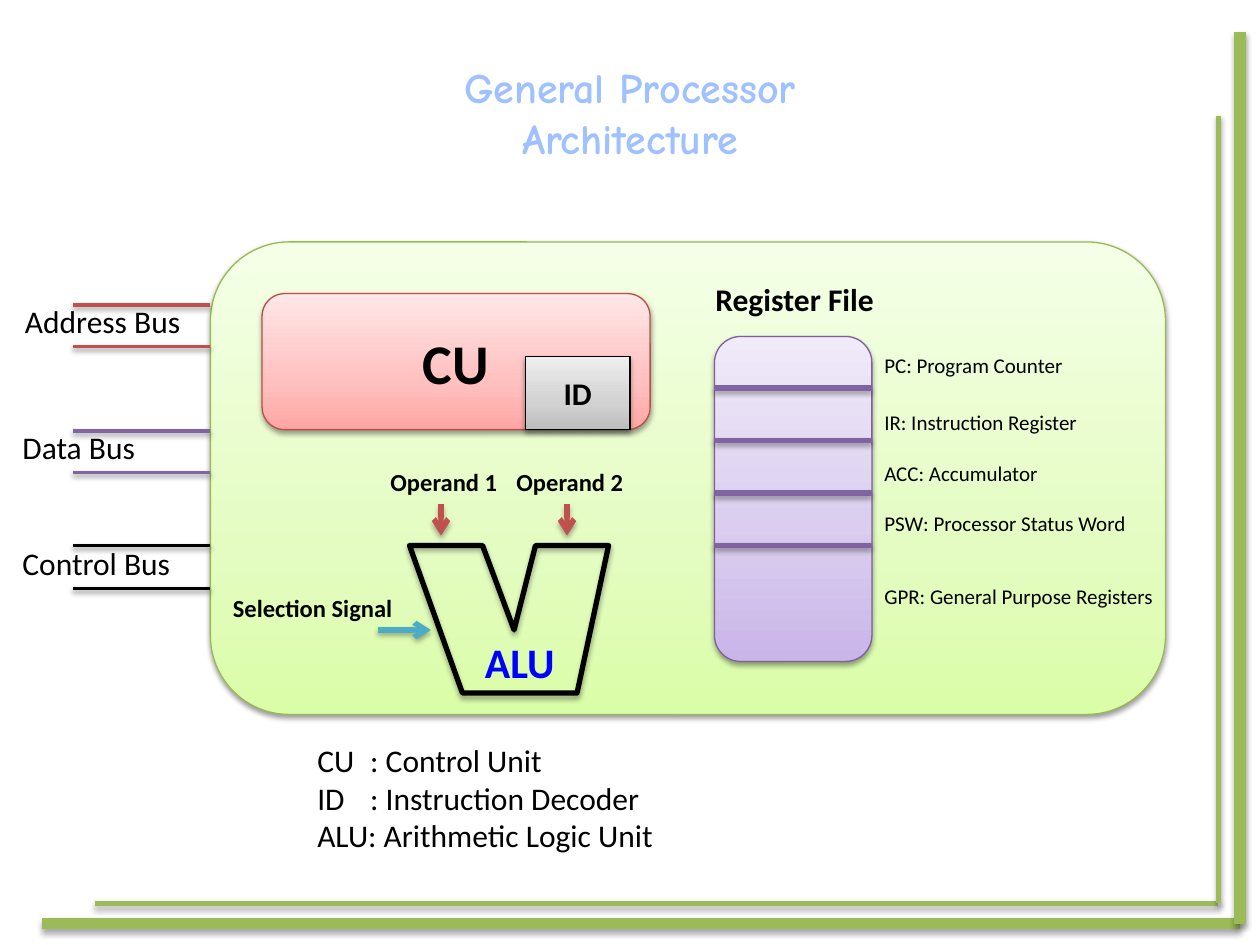
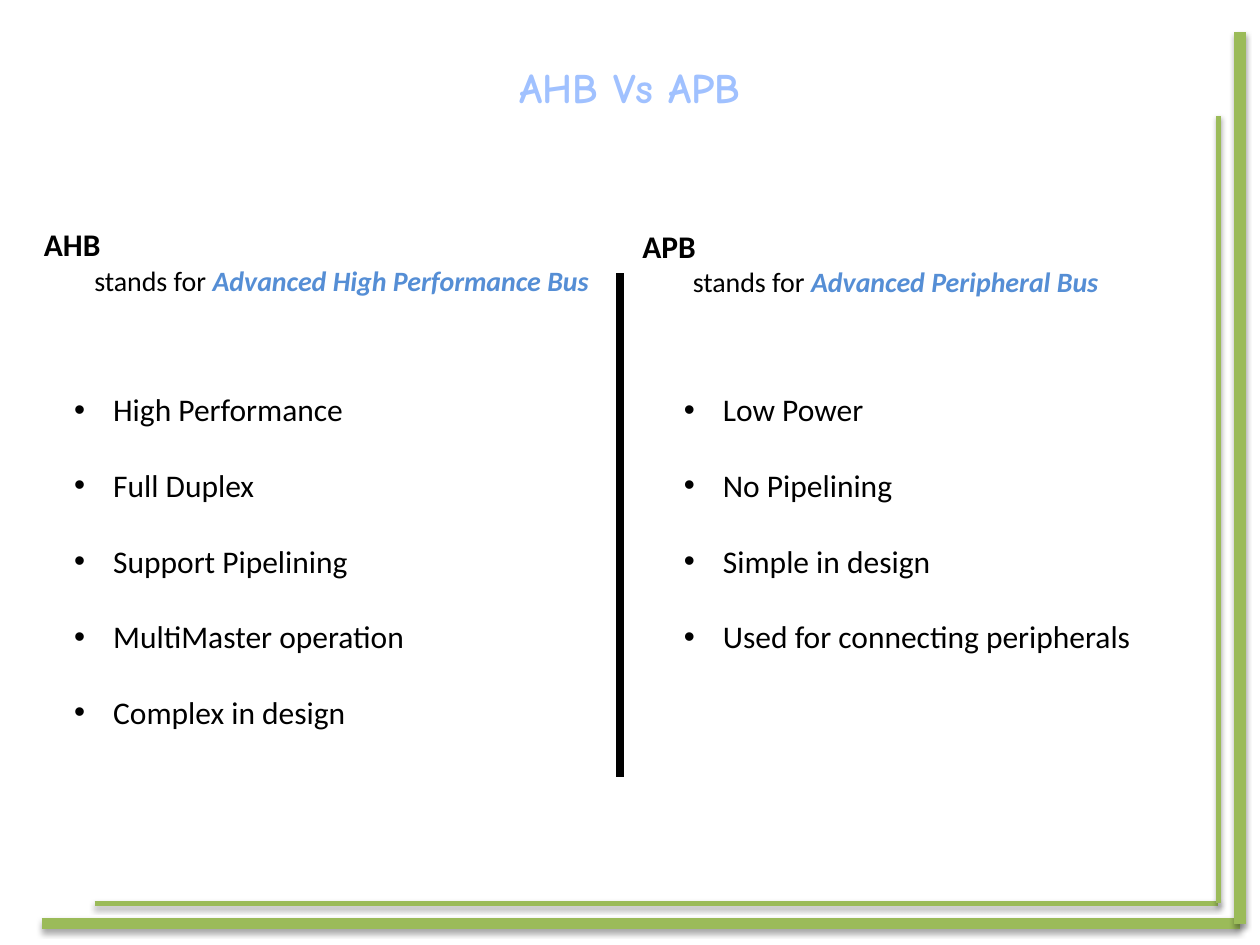
from copy import deepcopy
from lxml.etree import SubElement
from pptx import Presentation
from pptx.dml.color import RGBColor
from pptx.enum.shapes import MSO_CONNECTOR, MSO_SHAPE
from pptx.enum.text import MSO_ANCHOR, MSO_AUTO_SIZE, PP_ALIGN
from pptx.oxml.ns import qn
from pptx.util import Inches, Pt

COLORS = {
    "title": "A0C1FF", "band": "9BBB59", "black": "000000", "alu": "0000FF",
    "red": "C0504D", "purple": "8064A2", "teal": "4BACC6", "name": "558ED5",
    "chip edge": "98B955", "file edge": "7D60A0", "cu edge": "BF4C48",
}
FADES = {
    "chip": ("DAFDA7", "E4FCC2", "F5FFE7"),
    "file": ("C9B5E8", "D8CBEE", "F0EAF9"),
    "cu": ("FFA6A5", "FFC0BF", "FFE7E7"),
    "id": ("BDBDBD", "D1D1D1", "EEEEEE"),
}


def color(name):
    return RGBColor.from_string(COLORS[name])


def shade(item, alpha=35):
    effects = SubElement(item._element.spPr, qn("a:effectLst"))
    if alpha:
        outer = SubElement(effects, qn("a:outerShdw"), blurRad=str(Pt(3.1)),
                           dist=str(Pt(1.8)), dir="5400000", rotWithShape="0")
        tint = SubElement(outer, qn("a:srgbClr"), val=COLORS["black"])
        SubElement(tint, qn("a:alpha"), val=str(alpha * 1000))


def style(font, size=18, hue="black", bold=False, italic=False, face="Calibri"):
    font.size, font.bold, font.italic, font.name = Pt(size), bold, italic, face
    font.color.rgb = color(hue)


def write(frame, text, align=PP_ALIGN.LEFT, anchor=MSO_ANCHOR.TOP,
          bullet=False, tab=0, **look):
    frame.word_wrap = True
    frame.auto_size = MSO_AUTO_SIZE.NONE
    frame.vertical_anchor = anchor
    for i, words in enumerate(text.split("\n")):
        para = frame.add_paragraph() if i else frame.paragraphs[0]
        para.alignment = align
        run = para.add_run()
        run.text = words
        style(run.font, **look)
        props = para._p.get_or_add_pPr()
        if bullet:
            para.line_spacing = 2.0
            props.set("marL", str(Inches(0.31)))
            props.set("indent", str(Inches(-0.31)))
            SubElement(props, qn("a:buFont"), typeface="Arial")
            SubElement(props, qn("a:buChar"), char="•")
        if tab:
            stops = SubElement(props, qn("a:tabLst"))
            SubElement(stops, qn("a:tab"), pos=str(Inches(tab)), algn="l")


def label(slide, text, x, y, w, h=0.4, **look):
    box = slide.shapes.add_textbox(Inches(x), Inches(y), Inches(w), Inches(h))
    write(box.text_frame, text, **look)
    return box.text_frame


def line(slide, x1, y1, x2, y2, hue, width=3, arrow=False, alpha=35):
    rule = slide.shapes.add_connector(
        MSO_CONNECTOR.STRAIGHT, Inches(x1), Inches(y1), Inches(x2), Inches(y2))
    rule.line.color.rgb = color(hue)
    rule.line.width = Pt(width)
    if arrow:
        SubElement(rule.line._get_or_add_ln(), qn("a:tailEnd"), type="arrow")
    shade(rule, alpha)


def block(slide, x, y, w, h, fade, edge, kind=MSO_SHAPE.ROUNDED_RECTANGLE):
    shape = slide.shapes.add_shape(kind, Inches(x), Inches(y), Inches(w), Inches(h))
    shape.fill.gradient()
    shape.fill.gradient_angle = 90
    first = shape._element.spPr.find(".//" + qn("a:gs"))
    first.addnext(deepcopy(first))
    for stop, spot, hue in zip(shape.fill.gradient_stops, (0, 0.35, 1), FADES[fade]):
        stop.position = spot
        stop.color.rgb = RGBColor.from_string(hue)
    shape.line.color.rgb = color(edge)
    shape.line.width = Pt(0.75)
    shade(shape, 38)
    return shape.text_frame


def start(deck, title):
    slide = deck.slides.add_slide(deck.slide_layouts[5])
    for x1, y1, x2, y2, width in (
            (0.75, 7.17, 9.67, 7.17, 3), (0.33, 7.33, 9.84, 7.33, 6.75),
            (9.84, 7.33, 9.84, 0.25, 6.75), (9.67, 7.17, 9.67, 0.92, 3)):
        line(slide, x1, y1, x2, y2, "band", width)
    head = slide.shapes.title
    head.left, head.top = Inches(3.2), Inches(0.44)
    head.width, head.height = Inches(3.6), Inches(0.9)
    write(head.text_frame, title, align=PP_ALIGN.CENTER, size=24, hue="title",
          bold=True, face="Comic Neue")
    return slide


def draw_alu(slide):
    points = [(Inches(x), Inches(y)) for x, y in (
        (3.25, 4.33), (3.83, 4.33), (4.08, 5), (4.25, 4.33),
        (4.83, 4.33), (4.58, 5.5), (3.67, 5.5))]
    maker = slide.shapes.build_freeform(*points[0])
    maker.add_line_segments(points[1:], close=True)
    body = maker.convert_to_shape()
    body.fill.background()
    body.line.color.rgb = color("black")
    body.line.width = Pt(3)
    shade(body)
    label(slide, "ALU", 3.75, 5, 0.92, 0.5, size=24, hue="alu", bold=True)
    for i in range(2):
        line(slide, 3.5 + i, 4, 3.5 + i, 4.25, "red", arrow=True)
        label(slide, f"Operand {i + 1}", 3 + i, 3.66, 1.08, size=14, bold=True)
    line(slide, 3, 5, 3.42, 5, "teal", arrow=True)
    label(slide, "Selection Signal", 1.75, 4.66, 1.5, size=14, bold=True)


def draw_file(slide):
    label(slide, "Register File", 5.58, 2.17, 1.5, bold=True)
    block(slide, 5.67, 2.67, 1.25, 2.58, "file", "file edge")
    for i in range(4):
        y = 3.08 + i * 1.25 / 3
        line(slide, 5.67, y, 6.92, y, "purple")
    for name, y in (("PC: Program Counter", 2.75), ("IR: Instruction Register", 3.2),
                    ("ACC: Accumulator", 3.61), ("PSW: Processor Status Word", 4),
                    ("GPR: General Purpose Registers", 4.58)):
        label(slide, name, 6.92, y, 2.5, 0.3, size=12)


def draw_bus(slide, name, x, y, top, low, hue):
    for level in (top, low):
        line(slide, 0.58, level, 1.67, level, hue, 2, alpha=38)
    label(slide, name, x, y, 1.5)


def draw_cpu(deck):
    slide = start(deck, "General Processor Architecture")
    block(slide, 1.67, 1.92, 7.58, 3.75, "chip", "chip edge")
    draw_alu(slide)
    draw_file(slide)
    draw_bus(slide, "Address Bus", 0.1, 2.35, 2.42, 2.75, "red")
    draw_bus(slide, "Data Bus", 0.08, 3.35, 3.42, 3.75, "purple")
    draw_bus(slide, "Control Bus", 0.08, 4.27, 4.33, 4.67, "black")
    mid = {"align": PP_ALIGN.CENTER, "anchor": MSO_ANCHOR.MIDDLE, "bold": True}
    write(block(slide, 2.08, 2.33, 3.08, 1.08, "cu", "cu edge"), "CU", size=32, **mid)
    write(block(slide, 4.17, 2.83, 0.83, 0.58, "id", "black", MSO_SHAPE.RECTANGLE),
          "ID", **mid)
    label(slide, "CU\t: Control Unit\nID\t: Instruction Decoder\n"
          "ALU: Arithmetic Logic Unit", 2.42, 5.83, 6.33, 1.01, tab=0.42)


def draw_side(slide, name, full, x, y, left, traits):
    frame = label(slide, name, x, y, 5.17, 0.67, bold=True)
    para = frame.add_paragraph()
    para._p.get_or_add_pPr().set("marL", str(Inches(0.4)))
    for words, look in (("stands for ", {}),
                        (full, {"hue": "name", "bold": True, "italic": True})):
        run = para.add_run()
        run.text = words
        style(run.font, size=16, **look)
    label(slide, "\n".join(traits), left, 2.75, 4.17, 3.13, bullet=True)


def draw_buses(deck):
    slide = start(deck, "AHB Vs APB")
    line(slide, 4.92, 2.17, 4.92, 6.17, "black", 4.25, alpha=0)
    draw_side(slide, "AHB", "Advanced High Performance Bus", 0.25, 1.74, 0.49,
              ("High Performance", "Full Duplex", "Support Pipelining",
               "MultiMaster operation", "Complex in design"))
    draw_side(slide, "APB", "Advanced Peripheral Bus", 5, 1.75, 5.33,
              ("Low Power", "No Pipelining", "Simple in design",
               "Used for connecting peripherals"))


def main():
    deck = Presentation()
    deck.slide_width, deck.slide_height = Inches(10), Inches(7.5)
    draw_cpu(deck)
    draw_buses(deck)
    deck.save("out.pptx")


if __name__ == "__main__":
    main()
